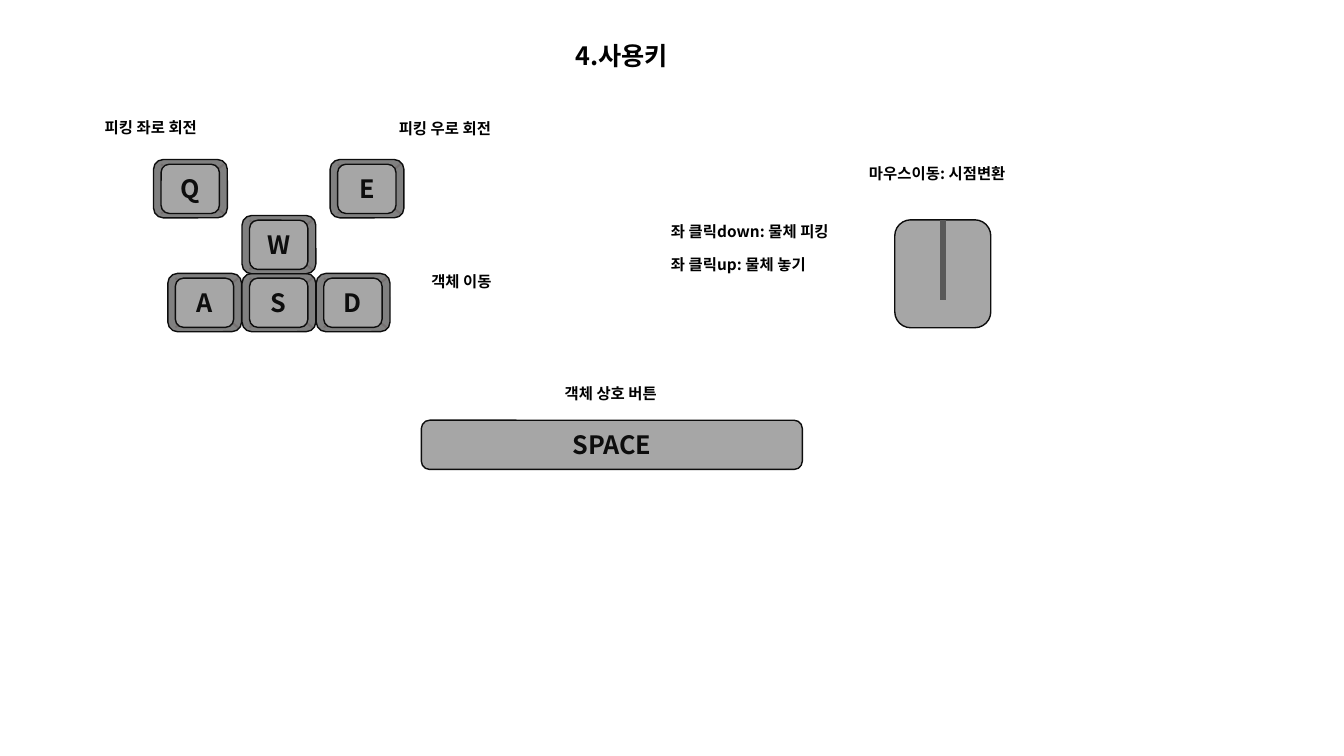
import pptx
import pptx.dml.color
import pptx.enum.shapes
import pptx.enum.text
import pptx.oxml.ns
import pptx.util
from dataclasses import dataclass
from lxml import etree
from pptx.util import Cm


@dataclass(frozen=True)
class Theme:
    font: str = "Noto Sans CJK KR"
    text: str = "000000"
    outline: str = "0D0D0D"
    key_base: str = "808080"
    key_face: str = "A6A6A6"
    bevel: str = "767171"
    wheel: str = "595959"
    large: int = 18
    small: int = 11


theme = Theme()
rgb = pptx.dml.color.RGBColor.from_string
qn = pptx.oxml.ns.qn

deck = pptx.Presentation()
deck.slide_width, deck.slide_height = Cm(33.87), Cm(19.05)
page = deck.slides.add_slide(deck.slide_layouts[5])


def write(box, words, size, color):
    """Put one bold run in the box."""
    para = box.text_frame.paragraphs[0]
    span = para.add_run()
    span.text = words
    span.font.size = pptx.util.Pt(size)
    span.font.bold = True
    span.font.color.rgb = rgb(color)
    span.font.name = theme.font
    etree.SubElement(span.font._element, qn("a:ea"), typeface=theme.font)
    return para


def add_block(left, top, width, height, fill, words=""):
    """Draw an outlined rounded block with an optional centred caption."""
    block = page.shapes.add_shape(
        pptx.enum.shapes.MSO_SHAPE.ROUNDED_RECTANGLE,
        Cm(left), Cm(top), Cm(width), Cm(height))
    block.shadow.inherit = False
    block.fill.solid()
    block.fill.fore_color.rgb = rgb(fill)
    block.line.color.rgb = rgb(theme.outline)
    block.line.width = pptx.util.Pt(1)
    if words:
        frame = block.text_frame
        frame.margin_left = frame.margin_right = 0
        frame.margin_top = frame.margin_bottom = 0
        frame.vertical_anchor = pptx.enum.text.MSO_ANCHOR.MIDDLE
        para = write(block, words, theme.large, theme.outline)
        para.alignment = pptx.enum.text.PP_ALIGN.CENTER
    return block


# Title
title = page.shapes.title
title.left, title.top, title.width, title.height = Cm(14.25), Cm(0.89), Cm(16.94), Cm(1.02)
title.text_frame.auto_size = pptx.enum.text.MSO_AUTO_SIZE.NONE
title.text_frame.vertical_anchor = pptx.enum.text.MSO_ANCHOR.TOP
heading = write(title, "4.사용키", theme.large, theme.text)
heading.alignment = pptx.enum.text.PP_ALIGN.LEFT

# Letter keys: base, crossed bevel edges, face
key_width, key_height, key_pitch = 1.86, 1.47, 1.87
inset_x, inset_y, face_width, face_height = 0.19, 0.12, 1.47, 1.24
bevel_width = 1.58
row_left, row_top = 4.23, 6.89
keys = [(letter, row_left + i * key_pitch, row_top) for i, letter in enumerate("ASD")]
keys += [("W", row_left + key_pitch, 5.43), ("Q", 3.87, 4.02), ("E", 8.32, 4.02)]
bevels = []
for letter, left, top in keys:
    add_block(left, top, key_width, key_height, theme.key_base)
    face_left, face_top = left + inset_x, top + inset_y
    for start, end in ((0, bevel_width), (bevel_width, 0)):
        edge = page.shapes.add_connector(
            pptx.enum.shapes.MSO_CONNECTOR.STRAIGHT,
            Cm(face_left + start), Cm(face_top),
            Cm(face_left + end), Cm(face_top + face_height))
        edge.line.color.rgb = rgb(theme.bevel)
        edge.line.width = pptx.util.Pt(1.5)
        bevels.append(edge)
    add_block(face_left, face_top, face_width, face_height, theme.key_face, letter)

# Space bar
add_block(10.62, 10.59, 9.6, 1.24, theme.key_face, "SPACE")

# Mouse with its wheel line
mouse = add_block(22.55, 5.54, 2.42, 2.72, theme.key_face)
wheel = page.shapes.add_connector(
    pptx.enum.shapes.MSO_CONNECTOR.STRAIGHT, Cm(23.76), Cm(5.54), Cm(23.76), Cm(7.57))
wheel.begin_connect(mouse, 0)
wheel.line.color.rgb = rgb(theme.wheel)
wheel.line.width = pptx.util.Pt(4.5)

for line in bevels + [wheel]:
    etree.SubElement(line._element.spPr, qn("a:effectLst"))

# Labels
labels = [
    ("피킹 우로 회전", 9.8, 2.87, 3.89),
    ("피킹 좌로 회전", 2.39, 2.84, 3.89),
    ("객체 이동", 10.62, 6.73, 3.89),
    ("객체 상호 버튼", 13.98, 9.56, 3.89),
    ("마우스이동: 시점변환", 21.65, 4.01, 4.67),
    ("좌 클릭down: 물체 피킹", 16.66, 5.48, 4.98),
    ("좌 클릭up: 물체 놓기", 16.66, 6.3, 4.98),
]
for words, left, top, width in labels:
    label = page.shapes.add_textbox(Cm(left), Cm(top), Cm(width), Cm(0.73))
    label.text_frame.word_wrap = True
    write(label, words, theme.small, theme.text)

deck.save("out.pptx")
